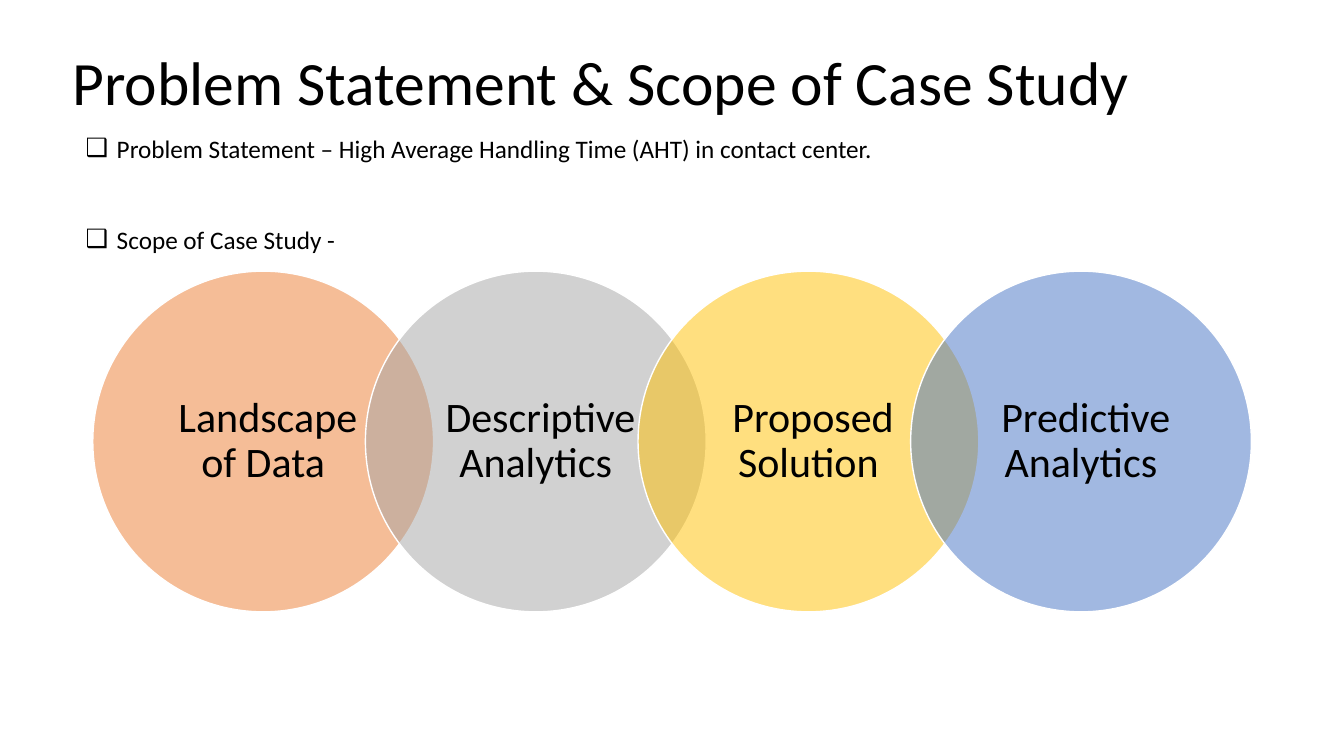
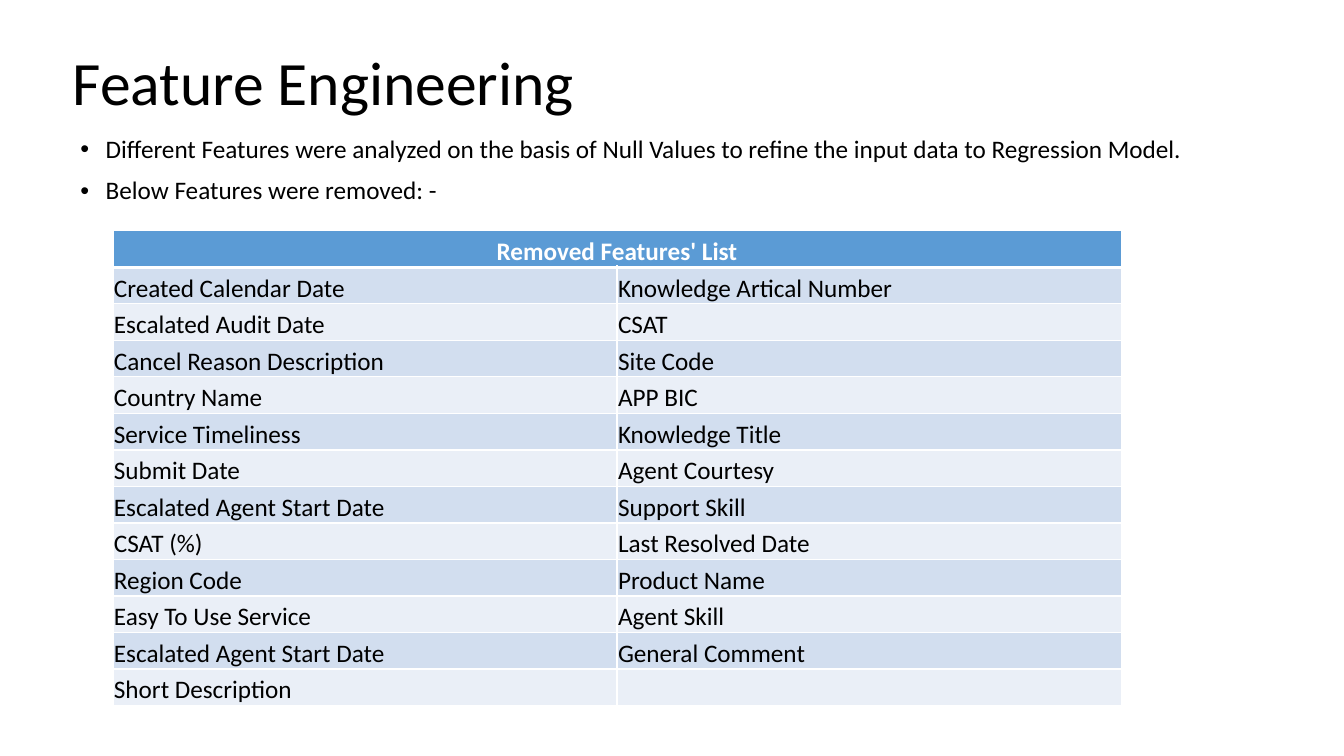
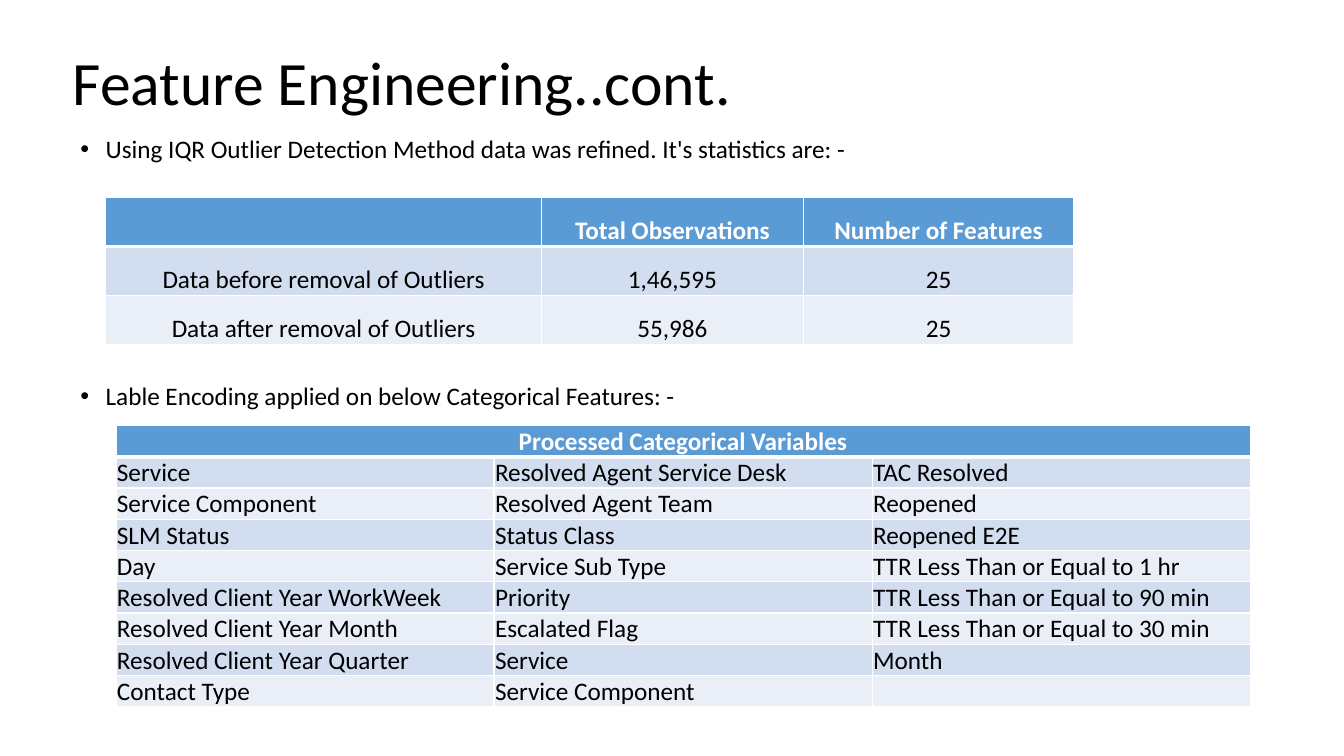
from lxml import etree
from pptx import Presentation
from pptx.dml.color import RGBColor
from pptx.enum.shapes import MSO_SHAPE
from pptx.enum.text import MSO_ANCHOR, MSO_AUTO_SIZE, PP_ALIGN
from pptx.oxml.ns import qn
from pptx.util import Inches, Pt

BLACK = RGBColor(0x00, 0x00, 0x00)
WHITE = RGBColor(0xFF, 0xFF, 0xFF)
HEAD = RGBColor(0x5B, 0x9B, 0xD5)
BANDS = (RGBColor(0xD2, 0xDE, 0xEF), RGBColor(0xEA, 0xEF, 0xF7))
ORANGE = RGBColor(0xED, 0x7D, 0x31)
GRAY = RGBColor(0xA5, 0xA5, 0xA5)
GOLD = RGBColor(0xFF, 0xC0, 0x00)
BLUE = RGBColor(0x44, 0x72, 0xC4)

OVAL = MSO_SHAPE.OVAL
MIDDLE, BOTTOM = MSO_ANCHOR.MIDDLE, MSO_ANCHOR.BOTTOM
LEFT, CENTER = PP_ALIGN.LEFT, PP_ALIGN.CENTER
FIXED = MSO_AUTO_SIZE.NONE

FONT = "Calibri"
TITLE_ONLY = 5

STEPS = [
    (" Landscape of Data", ORANGE),
    (" Descriptive Analytics", GRAY),
    (" Proposed Solution", GOLD),
    (" Predictive Analytics", BLUE),
]
REMOVED = [
    ("Removed Features' List", ""),
    ("Created Calendar Date", "Knowledge Artical Number"),
    ("Escalated Audit Date", "CSAT"),
    ("Cancel Reason Description", "Site Code"),
    ("Country Name", "APP BIC"),
    ("Service Timeliness", "Knowledge Title"),
    ("Submit Date", "Agent Courtesy"),
    ("Escalated Agent Start Date", "Support Skill"),
    ("CSAT (%)", "Last Resolved Date"),
    ("Region Code", "Product Name"),
    ("Easy To Use Service", "Agent Skill"),
    ("Escalated Agent Start Date", "General Comment"),
    ("Short Description", ""),
]
COUNTS = [
    ("", "Total Observations", "Number of Features"),
    ("Data before removal of Outliers", "1,46,595", "25"),
    ("Data after removal of Outliers", "55,986", "25"),
]
ENCODED = [
    ("Processed Categorical Variables", "", ""),
    ("Service", "Resolved Agent Service Desk", "TAC Resolved"),
    ("Service Component", "Resolved Agent Team", "Reopened"),
    ("SLM Status", "Status Class", "Reopened E2E"),
    ("Day", "Service Sub Type", "TTR Less Than or Equal to 1 hr"),
    ("Resolved Client Year WorkWeek", "Priority",
     "TTR Less Than or Equal to 90 min"),
    ("Resolved Client Year Month", "Escalated Flag",
     "TTR Less Than or Equal to 30 min"),
    ("Resolved Client Year Quarter", "Service", "Month"),
    ("Contact Type", "Service Component", ""),
]


def add_run(para, text, size=18, color=BLACK, bold=False):
    run = para.add_run()
    run.text = text
    font = run.font
    font.name, font.size, font.bold = FONT, Pt(size), bold
    font.color.rgb = color


def add_slide(prs, title):
    slide = prs.slides.add_slide(prs.slide_layouts[TITLE_ONLY])
    box = slide.shapes.title
    box.left, box.top = Inches(0.62), Inches(0.43)
    box.width, box.height = Inches(11.5), Inches(0.84)
    frame = box.text_frame
    frame.auto_size, frame.vertical_anchor = FIXED, MIDDLE
    para = frame.paragraphs[0]
    para.alignment, para.line_spacing = LEFT, 0.9
    add_run(para, title, 44)
    return slide


def add_list(slide, left, top, height, items, mark="•", indent=0.25, lines=0.9):
    """Add bullets; each item is its text and the points of space before it."""
    box = slide.shapes.add_textbox(
        Inches(left), Inches(top), Inches(11.5), Inches(height))
    frame = box.text_frame
    frame.word_wrap = True
    for i, (text, gap) in enumerate(items):
        para = frame.add_paragraph() if i else frame.paragraphs[0]
        para.line_spacing, para.space_before = lines, Pt(gap)
        props = para._p.get_or_add_pPr()
        props.set("marL", str(Inches(indent)))
        props.set("indent", str(-Inches(indent)))
        etree.SubElement(props, qn("a:buFont")).set("typeface", "Arial")
        etree.SubElement(props, qn("a:buChar")).set("char", mark)
        add_run(para, text)


def add_disc(slide, left, top, size, text, color):
    disc = slide.shapes.add_shape(
        OVAL, Inches(left), Inches(top), Inches(size), Inches(size))
    disc.shadow.inherit = False
    disc.fill.solid()
    disc.fill.fore_color.rgb = color
    tint = disc._element.spPr.find(qn("a:solidFill")).find(qn("a:srgbClr"))
    etree.SubElement(tint, qn("a:alpha")).set("val", "50000")
    disc.line.color.rgb, disc.line.width = WHITE, Pt(1)
    frame = disc.text_frame
    frame.word_wrap, frame.vertical_anchor = True, MIDDLE
    frame.margin_left = frame.margin_right = Inches(0.19)
    frame.margin_top = frame.margin_bottom = Inches(0.04)
    para = frame.paragraphs[0]
    para.alignment, para.line_spacing = CENTER, 0.9
    add_run(para, text, 30)


def set_edges(cell, row):
    """Draw white cell borders, thick between the header and the body."""
    thick = {0: "lnB", 1: "lnT"}.get(row)
    props = cell._tc.get_or_add_tcPr()
    for tag in ("lnL", "lnR", "lnT", "lnB"):
        line = etree.SubElement(props, qn("a:" + tag))
        line.set("w", str(Pt(3 if tag == thick else 1)))
        fill = etree.SubElement(line, qn("a:solidFill"))
        etree.SubElement(fill, qn("a:srgbClr")).set("val", str(WHITE))


def set_cell(cell, row, text, align):
    set_edges(cell, row)
    cell.fill.solid()
    cell.fill.fore_color.rgb = BANDS[(row - 1) % 2] if row else HEAD
    cell.vertical_anchor = BOTTOM
    cell.margin_left = cell.margin_right = cell.margin_top = Inches(0.01)
    cell.margin_bottom = 0
    if text:
        para = cell.text_frame.paragraphs[0]
        para.alignment = align if row else CENTER
        add_run(para, text, color=BLACK if row else WHITE, bold=not row)


def add_grid(slide, left, top, height, widths, rows, align=LEFT, span=True):
    """Add a banded table; span joins the header cells into one."""
    grid = slide.shapes.add_table(
        len(rows), len(widths), Inches(left), Inches(top),
        Inches(sum(widths)), Inches(height)).table
    for col, width in zip(grid.columns, widths):
        col.width = Inches(width)
    for r, row in enumerate(rows):
        for c, text in enumerate(row):
            set_cell(grid.cell(r, c), r, text, align)
    if span:
        grid.cell(0, 0).merge(grid.cell(0, len(widths) - 1))


def add_scope(prs):
    slide = add_slide(prs, "Problem Statement & Scope of Case Study")
    size = 3.38
    for i, (text, color) in enumerate(STEPS):
        add_disc(slide, 0.92 + i * 0.8 * size, 2.69, size, text, color)
    add_list(slide, 0.75, 1.27, 1.31, [
        ("Problem Statement – High Average Handling Time (AHT) "
         "in contact center.", 0),
        ("Scope of Case Study -", 43.5),
    ], mark="❑", indent=0.31, lines=1.0)


def add_removed(prs):
    slide = add_slide(prs, "Feature Engineering")
    add_list(slide, 0.7, 1.31, 0.9, [
        ("Different Features were analyzed on the basis of Null Values "
         "to refine the input data to Regression Model.", 10),
        ("Below Features were removed: -", 10),
    ])
    add_grid(slide, 1.12, 2.29, 4.71, [5, 5], REMOVED)


def add_encoded(prs):
    slide = add_slide(prs, "Feature Engineering..cont.")
    add_list(slide, 0.7, 1.31, 2.9, [
        ("Using IQR Outlier Detection Method data was refined. "
         "It's statistics are: -", 10),
        ("Lable Encoding applied on below Categorical Features: -", 157),
    ])
    add_grid(slide, 1.05, 1.96, 1.46, [4.32, 2.6, 2.68], COUNTS,
             align=CENTER, span=False)
    add_grid(slide, 1.15, 4.22, 2.79, [3.75] * 3, ENCODED)


def main():
    prs = Presentation()
    prs.slide_width, prs.slide_height = Inches(13.33), Inches(7.5)
    add_scope(prs)
    add_removed(prs)
    add_encoded(prs)
    prs.save("out.pptx")


if __name__ == "__main__":
    main()
